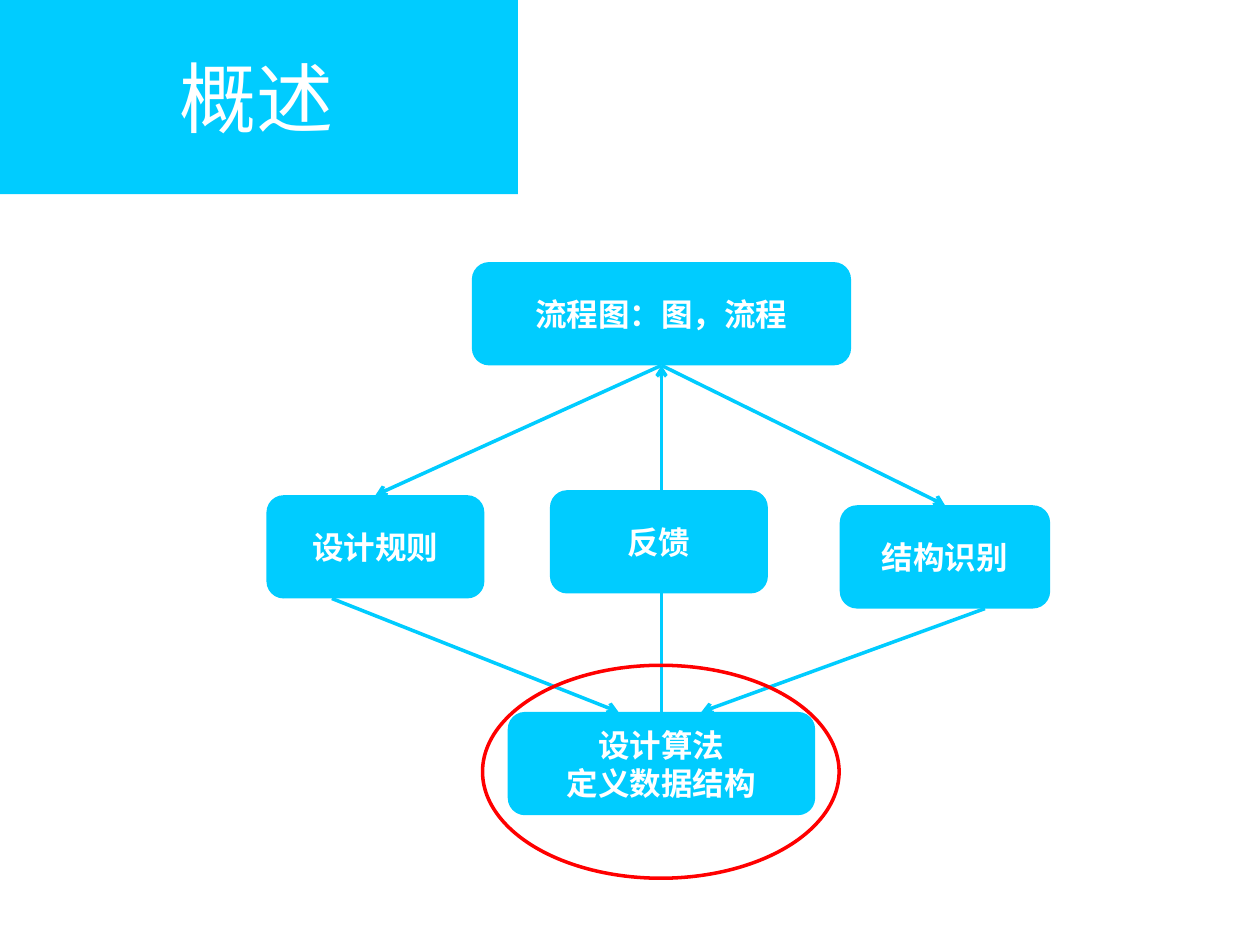
"""Build the overview slide: a flow chart with a feedback loop and a highlighted step."""
from dataclasses import dataclass

from lxml.etree import SubElement
from pptx import Presentation
from pptx.dml.color import RGBColor
from pptx.enum.shapes import MSO_CONNECTOR as Link, MSO_SHAPE as Shape
from pptx.enum.text import MSO_ANCHOR as Anchor, MSO_AUTO_SIZE as Fit, PP_ALIGN as Align
from pptx.oxml.ns import qn
from pptx.util import Inches, Pt


@dataclass(frozen=True)
class Theme:
    main: RGBColor = RGBColor(0x00, 0xCC, 0xFF)
    ink: RGBColor = RGBColor(0xFF, 0xFF, 0xFF)
    alert: RGBColor = RGBColor(0xFF, 0x00, 0x00)
    title_font: str = "Arial"
    body_font: str = "Noto Sans CJK SC"
    title_size: int = 44
    body_size: int = 18
    line: int = 2


THEME = Theme()
TITLE = "概述"
TITLE_AREA = (-0.04, -0.01, 4.15, 1.55)
BOX_HEIGHT = 0.82
CENTRE, LEFT, RIGHT = 5.25, 2.98, 7.5
STEPS = {
    "flow": (["流程图：图，流程"], CENTRE, 2.08, 3.01),
    "rules": (["设计规则"], LEFT, 3.93, 1.73),
    "structure": (["结构识别"], RIGHT, 4.01, 1.67),
    "algorithm": (["设计算法", "定义数据结构"], CENTRE, 5.65, 2.44),
}
FEEDBACK = (["反馈"], CENTRE - 0.02, 3.89, 1.73)
JOINED = [("flow", 2, "rules", 0), ("flow", 2, "structure", 0), ("algorithm", 0, "flow", 2)]
SLANTED = [("rules", 0.3, "algorithm", 0.36), ("structure", 0.69, "algorithm", 0.63)]
RING = (CENTRE - 1.42, 5.28, 2.83, 1.69)


def write(frame, lines, face, size, bold):
    frame.word_wrap = True
    frame.auto_size = Fit.NONE
    frame.vertical_anchor = Anchor.MIDDLE
    for index, line in enumerate(lines):
        para = frame.paragraphs[0] if index == 0 else frame.add_paragraph()
        para.alignment = Align.CENTER
        span = para.add_run()
        span.text = line
        font = span.font
        font.name, font.size, font.bold = face, Pt(size), bold
        font.color.rgb = THEME.ink
        SubElement(font._element, qn("a:ea"), typeface=THEME.body_font)


def add_title(page):
    title = page.shapes.title
    title.left, title.top, title.width, title.height = map(Inches, TITLE_AREA)
    title.fill.solid()
    title.fill.fore_color.rgb = THEME.main
    write(title.text_frame, [TITLE], THEME.title_font, THEME.title_size, False)


def add_step(page, lines, centre, top, width):
    area = map(Inches, (centre - width / 2, top, width, BOX_HEIGHT))
    box = page.shapes.add_shape(Shape.FLOWCHART_ALTERNATE_PROCESS, *area)
    box.shadow.inherit = False
    box.fill.solid()
    box.fill.fore_color.rgb = THEME.main
    box.line.fill.background()
    write(box.text_frame, lines, THEME.body_font, THEME.body_size, True)
    return box


def add_arrow(page, start=(0, 0), end=(0, 0)):
    arrow = page.shapes.add_connector(Link.STRAIGHT, *start, *end)
    arrow.line.color.rgb = THEME.main
    arrow.line.width = Pt(THEME.line)
    SubElement(arrow.line._get_or_add_ln(), qn("a:tailEnd"), type="arrow")
    SubElement(arrow._element.spPr, qn("a:effectLst"))
    return arrow


def add_arrows(page, boxes):
    for source, source_side, target, target_side in JOINED:
        arrow = add_arrow(page)
        arrow.begin_connect(boxes[source], source_side)
        arrow.end_connect(boxes[target], target_side)
    for source, source_share, target, target_share in SLANTED:
        upper, lower = boxes[source], boxes[target]
        start = (upper.left + int(upper.width * source_share), upper.top + upper.height)
        end = (lower.left + int(lower.width * target_share), lower.top)
        add_arrow(page, start, end)


def add_ring(page):
    ring = page.shapes.add_shape(Shape.OVAL, *map(Inches, RING))
    ring.shadow.inherit = False
    ring.fill.background()
    ring.line.color.rgb = THEME.alert
    ring.line.width = Pt(THEME.line)


def main():
    deck = Presentation()
    deck.slide_width, deck.slide_height = Inches(10), Inches(7.5)
    page = deck.slides.add_slide(deck.slide_layouts[5])
    add_title(page)
    boxes = {name: add_step(page, *step) for name, step in STEPS.items()}
    add_arrows(page, boxes)
    add_step(page, *FEEDBACK)
    add_ring(page)
    deck.save("out.pptx")


if __name__ == "__main__":
    main()
